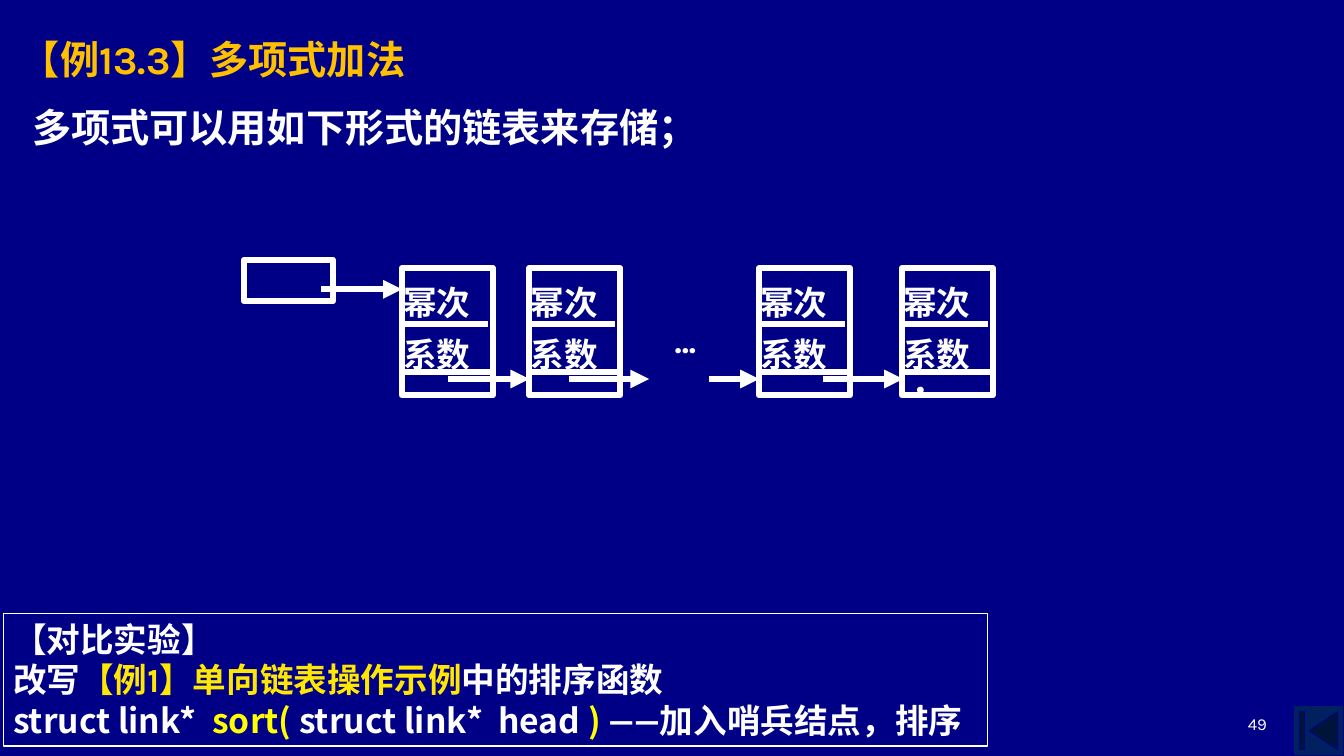
from dataclasses import dataclass
from typing import Optional

from lxml import etree
from pptx import Presentation
from pptx import util as u
from pptx.dml.color import RGBColor
from pptx.enum import shapes, text
from pptx.oxml.ns import qn

COLORS = {
    "background": "000086",
    "button": "002060",
    "white": "FFFFFF",
    "title": "FFC000",
    "example": "FFE701",
    "code": "FFFF00",
}
LATIN, CJK = "Karla", "Noto Sans CJK SC"
THICK, THIN = 4.5, 0.75
SMALL_INSET = 0.03


@dataclass
class Piece:
    words: str
    color: str = "white"
    font: str = LATIN


@dataclass
class Box:
    left: float
    top: float
    width: float
    height: float


@dataclass
class Segment:
    start: float
    end: float
    y: float
    arrow: bool = False


def rgb(name: str) -> RGBColor:
    return RGBColor.from_string(COLORS[name])


def write(frame, lines: list[list[Piece]], size: float, bold: bool = True,
          spacing: Optional[float] = None, align=text.PP_ALIGN.LEFT,
          anchor=text.MSO_ANCHOR.TOP, inset: Optional[float] = None) -> None:
    frame.word_wrap = True
    frame.vertical_anchor = anchor
    if inset is not None:
        frame.margin_left = frame.margin_right = u.Cm(inset)
        frame.margin_top = frame.margin_bottom = u.Cm(inset)
    for number, pieces in enumerate(lines):
        paragraph = frame.paragraphs[0] if number == 0 else frame.add_paragraph()
        paragraph.alignment = align
        paragraph.line_spacing = spacing
        for piece in pieces:
            run = paragraph.add_run()
            run.text = piece.words
            run.font.size = u.Pt(size)
            run.font.bold = bold
            run.font.name = piece.font
            run.font.color.rgb = rgb(piece.color)
            east_asian = etree.SubElement(run.font._element, qn("a:ea"))
            east_asian.set("typeface", CJK)


def add_text(parent, box: Box, lines: list[list[Piece]], size: float, **style) -> None:
    label = parent.add_textbox(*map(u.Cm, (box.left, box.top, box.width, box.height)))
    write(label.text_frame, lines, size, **style)


def add_box(parent, box: Box, line: str = "white", weight: float = THICK,
            fill: Optional[str] = None, kind=shapes.MSO_SHAPE.RECTANGLE):
    outline = parent.add_shape(kind, *map(u.Cm, (box.left, box.top, box.width, box.height)))
    outline.shadow.inherit = False
    if fill:
        outline.fill.solid()
        outline.fill.fore_color.rgb = rgb(fill)
    else:
        outline.fill.background()
    outline.line.color.rgb = rgb(line)
    outline.line.width = u.Pt(weight)
    return outline


def add_segment(parent, segment: Segment) -> None:
    stroke = parent.add_connector(
        shapes.MSO_CONNECTOR.STRAIGHT, u.Cm(segment.start), u.Cm(segment.y),
        u.Cm(segment.end), u.Cm(segment.y))
    stroke.line.color.rgb = rgb("white")
    stroke.line.width = u.Pt(THICK)
    if segment.arrow:
        etree.SubElement(stroke.line._get_or_add_ln(), qn("a:tailEnd")).set("type", "triangle")
    etree.SubElement(stroke._element.spPr, qn("a:effectLst"))


def add_node(parent, left: float) -> None:
    node = add_box(parent, Box(left, 6.76, 2.29, 3.2))
    write(node.text_frame, [[Piece("幂次")], [Piece("系数")]], 24,
          spacing=1.3, inset=SMALL_INSET)
    add_segment(parent, Segment(left, left + 2.16, 8.17))
    add_segment(parent, Segment(left, left + 2.24, 9.37))


def main() -> None:
    deck = Presentation()
    deck.slide_width, deck.slide_height = u.Cm(33.87), u.Cm(19.05)
    slide = deck.slides.add_slide(deck.slide_layouts[6])
    slide.background.fill.solid()
    slide.background.fill.fore_color.rgb = rgb("background")
    canvas = slide.shapes

    # Navigation button
    add_box(canvas, Box(32.6, 17.78, 1.27, 1.27), "background", THIN, "button",
            shapes.MSO_SHAPE.ACTION_BUTTON_BEGINNING)

    # Heading and statement
    add_text(canvas, Box(0.28, 0.61, 22.86, 1.75),
             [[Piece("【例13.3】多项式加法", "title")]], 28, anchor=text.MSO_ANCHOR.MIDDLE)
    add_text(canvas, Box(0.56, 2.49, 24.13, 1.8),
             [[Piece("多项式可以用如下形式的链表来存储；")]], 28)

    # Linked list: head pointer, nodes, links
    linked_list = canvas.add_group_shape().shapes
    add_box(linked_list, Box(6.15, 6.55, 2.24, 1.04))
    for left in (10.13, 13.34, 19.13, 22.73):
        add_node(linked_list, left)
    add_segment(linked_list, Segment(8.1, 10.13, 7.29, arrow=True))
    for start, end in ((11.3, 13.34), (14.35, 16.36), (17.88, 19.13), (20.73, 22.76)):
        add_segment(linked_list, Segment(start, end, 9.55, arrow=True))
    add_text(linked_list, Box(16.97, 7.72, 1.4, 1.32), [[Piece("...")]], 24,
             spacing=1.3, align=text.PP_ALIGN.JUSTIFY, inset=SMALL_INSET)
    add_text(linked_list, Box(22.94, 8.76, 2.24, 0.61), [[Piece("．")]], 24,
             spacing=1.3, inset=SMALL_INSET)

    # Page number
    add_text(canvas, Box(24.28, 17.35, 7.9, 1.27), [[Piece("49")]], 12, bold=False,
             align=text.PP_ALIGN.RIGHT, anchor=text.MSO_ANCHOR.BOTTOM)

    # Comparison experiment
    experiment = add_box(canvas, Box(0.08, 15.47, 24.82, 3.33), weight=THIN)
    write(experiment.text_frame, [
        [Piece("【对比实验】")],
        [Piece("改写"), Piece("【例1】单向链表操作示例", "example"), Piece("中的排序函数")],
        [Piece("struct link*  ", font=CJK), Piece("sort(", "code", CJK),
         Piece(" struct link*  head ", font=CJK), Piece(") ", "code", CJK),
         Piece("——加入哨兵结点，排序")],
    ], 24)
    experiment.text_frame.auto_size = text.MSO_AUTO_SIZE.SHAPE_TO_FIT_TEXT

    deck.save("out.pptx")


if __name__ == "__main__":
    main()
